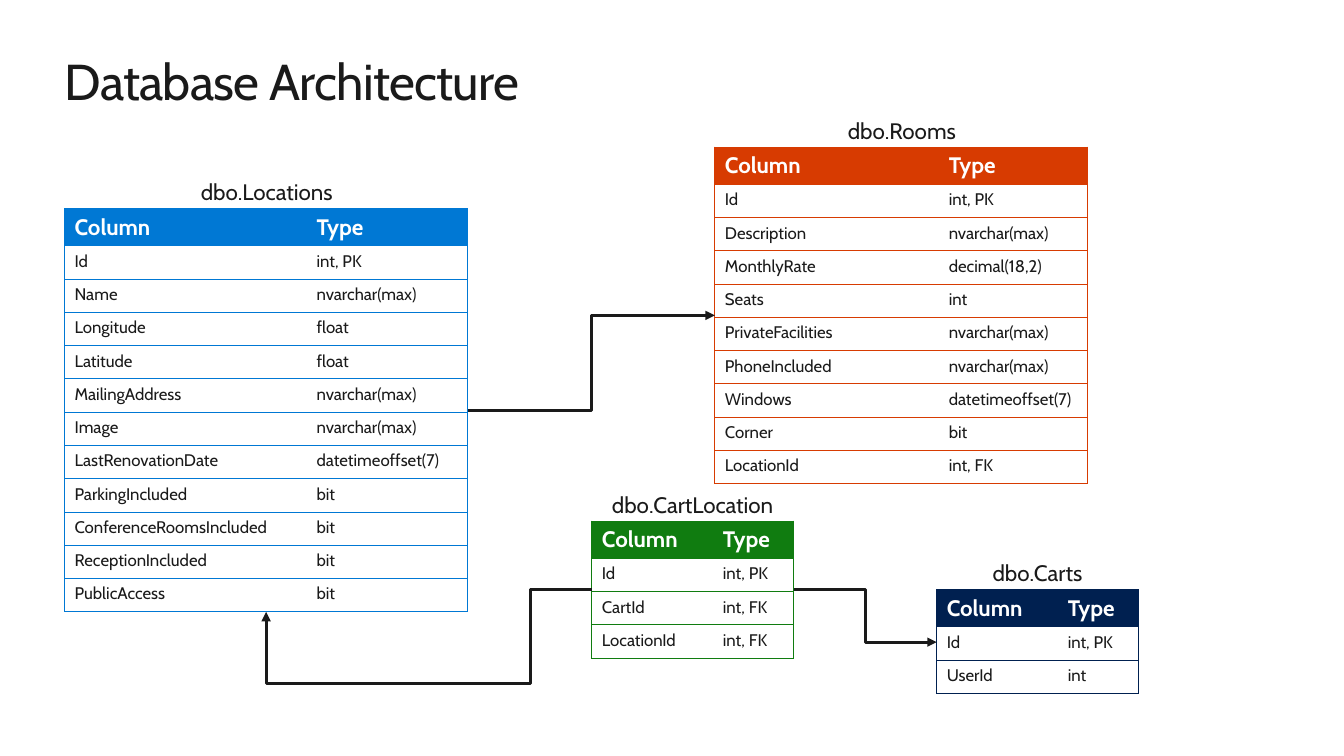
"""Build the database architecture slide with four linked table schemas."""
from dataclasses import dataclass

from lxml import etree
from pptx import Presentation
from pptx import util as u
from pptx.dml.color import RGBColor
from pptx.enum import shapes, text
from pptx.oxml import ns

PX = 9144


@dataclass(frozen=True)
class Theme:
    font: str = "Cabin"
    ink: str = "1A1A1A"
    white: str = "FFFFFF"
    blue: str = "0078D4"
    red: str = "D73B01"
    green: str = "107C10"
    navy: str = "002050"
    title: int = 36
    head: int = 16
    body: int = 12
    rule: float = 0.75
    link: float = 2.25
    grid: str = "{2D5ABB26-0587-4C30-8999-92F81FD0307C}"


def sub(node, tag, **attrs):
    return etree.SubElement(node, ns.qn(tag), **attrs)


class Board:
    head = 37
    row = 33

    def __init__(self, slide, theme):
        self.slide = slide
        self.theme = theme

    def run(self, para, words, size, color, bold=False):
        run = para.add_run()
        run.text = words
        run.font.name = self.theme.font
        run.font.size = u.Pt(size)
        run.font.bold = bold
        run.font.color.rgb = RGBColor.from_string(color)
        return run

    def frame(self, box, align):
        frame = box.text_frame
        frame.margin_left = frame.margin_right = 0
        frame.margin_top = frame.margin_bottom = 0
        frame.word_wrap = True
        frame.vertical_anchor = text.MSO_ANCHOR.TOP
        para = frame.paragraphs[0]
        para.alignment = align
        return para

    def title(self, words, x, y, w, h):
        box = self.slide.shapes.title
        box.left, box.top, box.width, box.height = (n * PX for n in (x, y, w, h))
        para = self.frame(box, text.PP_ALIGN.LEFT)
        box.text_frame.auto_size = text.MSO_AUTO_SIZE.SHAPE_TO_FIT_TEXT
        run = self.run(para, words, self.theme.title, self.theme.ink)
        run.font._element.set("spc", "-50")

    def label(self, words, x, y, w):
        box = self.slide.shapes.add_textbox(x * PX, y * PX, w * PX, 30 * PX)
        para = self.frame(box, text.PP_ALIGN.CENTER)
        self.run(para, words, self.theme.head, self.theme.ink)

    def border(self, cell, sides, color):
        props = cell._tc.get_or_add_tcPr()
        for side in sides:
            line = sub(props, f"a:ln{side}", w=str(u.Pt(self.theme.rule)))
            sub(sub(line, "a:solidFill"), "a:srgbClr", val=color)

    def table(self, x, y, widths, color, fields):
        rows = [("Column", "Type"), *fields]
        high = self.head + self.row * len(fields)
        shape = self.slide.shapes.add_table(
            len(rows), 2, x * PX, y * PX, sum(widths) * PX, high * PX)
        grid = shape.table
        grid.horz_banding = False
        grid._tbl.tblPr.find(ns.qn("a:tableStyleId")).text = self.theme.grid
        for col, wide in zip(grid.columns, widths):
            col.width = wide * PX
        for r, pair in enumerate(rows):
            top = r == 0
            grid.rows[r].height = (self.head if top else self.row) * PX
            size = self.theme.head if top else self.theme.body
            ink = self.theme.white if top else self.theme.ink
            for c, words in enumerate(pair):
                cell = grid.cell(r, c)
                self.border(cell, ("RTB", "LTB")[c == 0], color)
                cell.fill.solid()
                fill = color if top else self.theme.white
                cell.fill.fore_color.rgb = RGBColor.from_string(fill)
                self.run(cell.text_frame.paragraphs[0], words, size, ink, top)

    def link(self, start, end, turn=None):
        wire = self.slide.shapes.add_connector(
            shapes.MSO_CONNECTOR.ELBOW, *(n * PX for n in (*start, *end)))
        wire.line.width = u.Pt(self.theme.link)
        wire.line.color.rgb = RGBColor.from_string(self.theme.ink)
        sub(wire.line._get_or_add_ln(), "a:tailEnd", type="triangle")
        props = wire._element.spPr
        sub(props, "a:effectLst")
        if turn:
            geom = props.find(ns.qn("a:prstGeom"))
            geom.set("prst", "bentConnector4")
            guides = geom.find(ns.qn("a:avLst"))
            if guides is None:
                guides = sub(geom, "a:avLst")
            for i, (a, b, t) in enumerate(zip(start, end, turn), 1):
                part = round((t - a) / (b - a) * 100000)
                sub(guides, "a:gd", name=f"adj{i}", fmla=f"val {part}")


def main():
    deck = Presentation()
    deck.slide_width, deck.slide_height = u.Inches(13.33), u.Inches(7.5)
    theme = Theme()
    board = Board(deck.slides.add_slide(deck.slide_layouts[5]), theme)
    board.title("Database Architecture", 64, 50, 1205, 61)
    board.table(64, 207, (240, 160), theme.blue, [
        ("Id", "int, PK"),
        ("Name", "nvarchar(max)"),
        ("Longitude", "float"),
        ("Latitude", "float"),
        ("MailingAddress", "nvarchar(max)"),
        ("Image", "nvarchar(max)"),
        ("LastRenovationDate", "datetimeoffset(7)"),
        ("ParkingIncluded", "bit"),
        ("ConferenceRoomsIncluded", "bit"),
        ("ReceptionIncluded", "bit"),
        ("PublicAccess", "bit"),
    ])
    board.table(709, 146, (222, 148), theme.red, [
        ("Id", "int, PK"),
        ("Description", "nvarchar(max)"),
        ("MonthlyRate", "decimal(18,2)"),
        ("Seats", "int"),
        ("PrivateFacilities", "nvarchar(max)"),
        ("PhoneIncluded", "nvarchar(max)"),
        ("Windows", "datetimeoffset(7)"),
        ("Corner", "bit"),
        ("LocationId", "int, FK"),
    ])
    board.link((464, 407), (709, 313))
    board.table(587, 517, (120, 80), theme.green, [
        ("Id", "int, PK"),
        ("CartId", "int, FK"),
        ("LocationId", "int, FK"),
    ])
    board.table(929, 585, (120, 80), theme.navy, [
        ("Id", "int, PK"),
        ("UserId", "int"),
    ])
    board.link((787, 585), (929, 637))
    board.link((587, 585), (264, 607), (526, 678))
    board.label("dbo.Locations", 144, 177, 241)
    board.label("dbo.CartLocation", 587, 487, 200)
    board.label("dbo.Rooms", 774, 116, 241)
    board.label("dbo.Carts", 934, 555, 190)
    deck.save("out.pptx")


if __name__ == "__main__":
    main()
